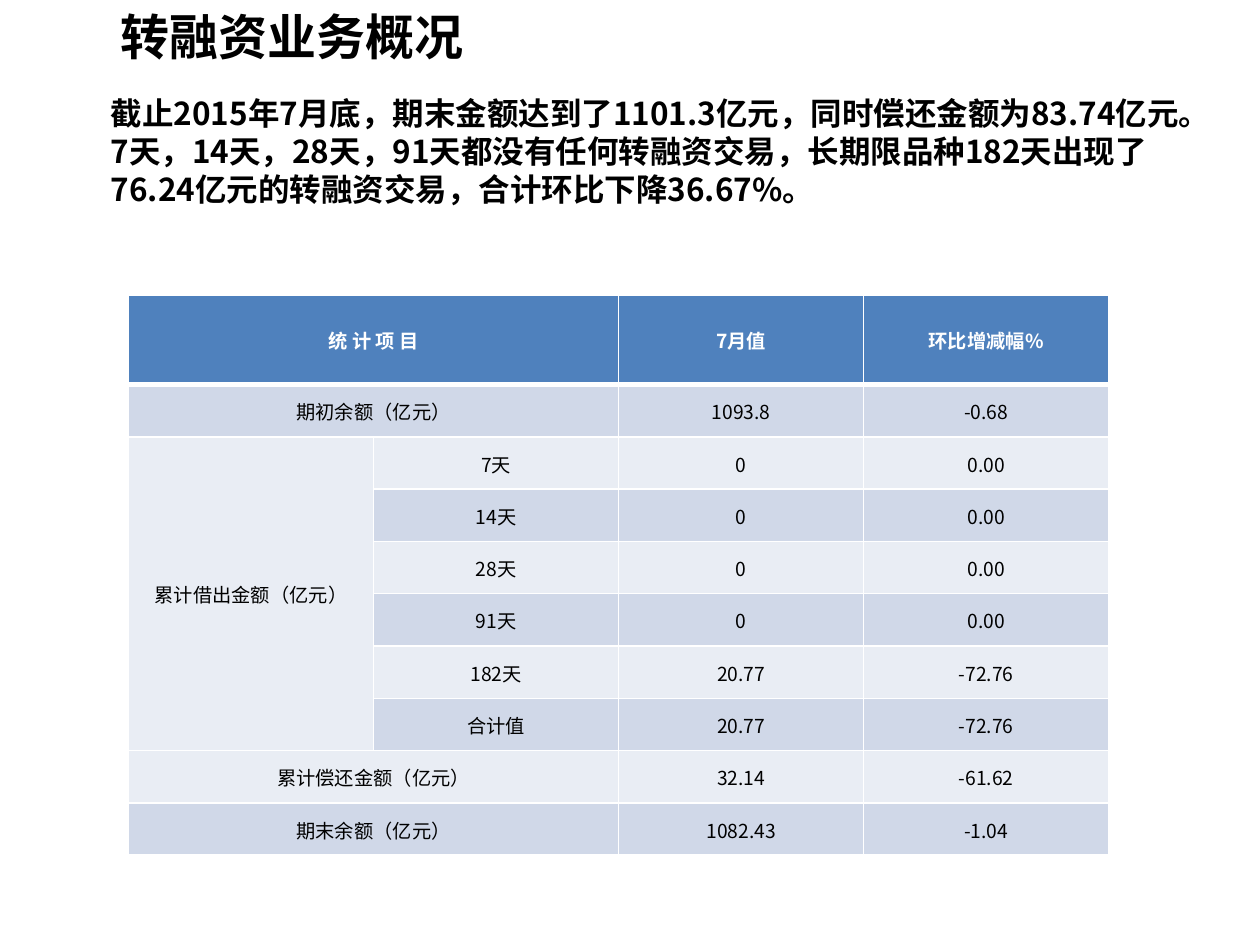
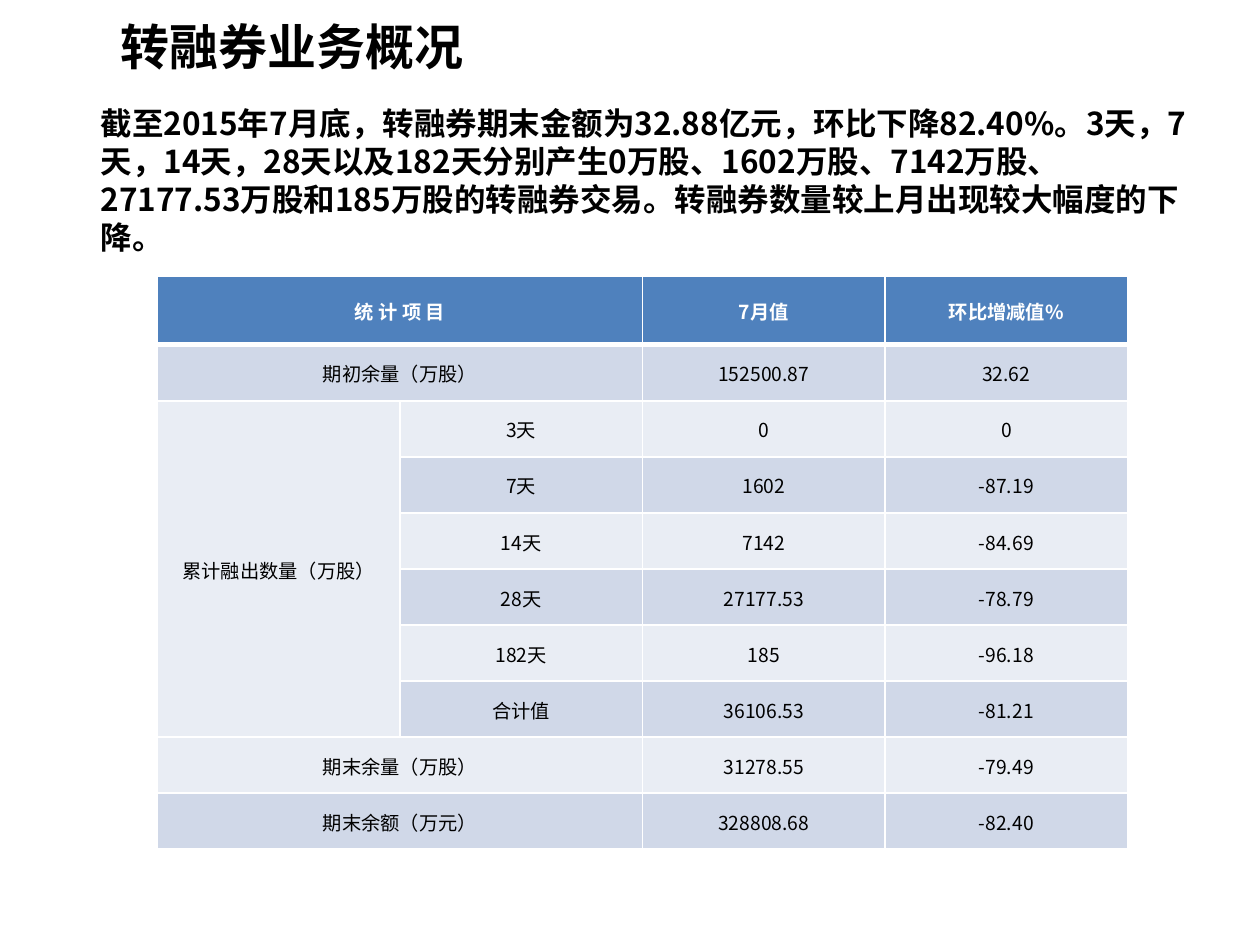
from collections import namedtuple

from lxml import etree
from pptx import Presentation
from pptx import util as u
from pptx.dml import color
from pptx.enum import text
from pptx.oxml import ns

COLOURS = {
    "ink": "000000",
    "paper": "FFFFFF",
    "header": "4F81BD",
    "dark_band": "D0D8E8",
    "light_band": "E9EDF4",
}
FONT = "Noto Sans CJK SC"
GRID_COLUMNS, GRID_ROWS = 100, 75
SLIDE_WIDTH, SLIDE_HEIGHT = u.Inches(10), u.Inches(7.5)

Box = namedtuple("Box", "left top width height")


def place(box):
    column, row = SLIDE_WIDTH / GRID_COLUMNS, SLIDE_HEIGHT / GRID_ROWS
    return [round(length) for length in
            (box.left * column, box.top * row, box.width * column, box.height * row)]


def write(frame, words, size=11, colour="ink", bold=False, align=text.PP_ALIGN.LEFT):
    para = frame.paragraphs[0]
    para.alignment = align
    span = para.add_run()
    span.text = words
    span.font.size = u.Pt(size)
    span.font.bold = bold
    span.font.name = FONT
    span.font.color.rgb = color.RGBColor.from_string(COLOURS[colour])
    etree.SubElement(span.font._element, ns.qn("a:ea"), typeface=FONT)


def add_words(page, box, words, size, wrap=True):
    frame = page.shapes.add_textbox(*place(box)).text_frame
    frame.word_wrap = wrap
    frame.vertical_anchor = text.MSO_ANCHOR.TOP
    write(frame, words, size=size, bold=True)


def add_borders(cell, bottom):
    properties = cell._tc.get_or_add_tcPr()
    widths = {"lnL": 1, "lnR": 1, "lnT": 1, "lnB": bottom}
    for position, (side, width) in enumerate(widths.items()):
        line = etree.Element(ns.qn(f"a:{side}"), w=str(u.Pt(width)))
        fill = etree.SubElement(line, ns.qn("a:solidFill"))
        etree.SubElement(fill, ns.qn("a:srgbClr"), val=COLOURS["paper"])
        properties.insert(position, line)


def format_cell(cell, words, band):
    is_header = band == "header"
    cell.fill.solid()
    cell.fill.fore_color.rgb = color.RGBColor.from_string(COLOURS[band])
    cell.margin_left = cell.margin_right = cell.margin_top = u.Inches(0.01)
    cell.margin_bottom = 0
    cell.vertical_anchor = text.MSO_ANCHOR.MIDDLE
    add_borders(cell, bottom=3 if is_header else 1)
    if words:
        write(cell.text_frame, words, colour="paper" if is_header else "ink",
              bold=is_header, align=text.PP_ALIGN.CENTER)


def add_statistics(page, box, header_share, rows):
    left, top, width, height = place(box)
    table = page.shapes.add_table(len(rows), len(rows[0]), left, top, width, height).table
    table.first_row = table.horz_banding = False
    for column in table.columns:
        column.width = round(width / len(rows[0]))
    header_height = height * header_share
    row_height = (height - header_height) / (len(rows) - 1)
    for index, row in enumerate(rows):
        table.rows[index].height = round(row_height if index else header_height)
        band = ("dark_band" if index % 2 else "light_band") if index else "header"
        for position, words in enumerate(row):
            in_group = position == 0 and not words
            format_cell(table.cell(index, position), words,
                        "light_band" if in_group else band)
        if row[0] and not row[1]:
            table.cell(index, 0).merge(table.cell(index, 1))
    group = [index for index, row in enumerate(rows) if row[1]]
    table.cell(group[0], 0).merge(table.cell(group[-1], 0))


def statistics_rows(header, opening, group, terms, closing):
    first, *others = terms
    wide = [(label, "", *values) for label, *values in (header, opening, *closing)]
    return [*wide[:2], (group, *first), *(("", *term) for term in others), *wide[2:]]


def add_overview(deck, title, title_box, summary, summary_box,
                 table_box, header_share, rows, title_wrap=True):
    page = deck.slides.add_slide(deck.slide_layouts[6])
    add_words(page, summary_box, summary, size=18)
    add_words(page, title_box, title, size=28, wrap=title_wrap)
    add_statistics(page, table_box, header_share, rows)


def main():
    deck = Presentation()
    deck.slide_width, deck.slide_height = SLIDE_WIDTH, SLIDE_HEIGHT
    add_overview(
        deck,
        title="转融资业务概况",
        title_box=Box(8.6, 0, 29.6, 10.4),
        title_wrap=False,
        summary="截止2015年7月底，期末金额达到了1101.3亿元，同时偿还金额为83.74亿元。"
                "7天，14天，28天，91天都没有任何转融资交易，长期限品种182天出现了"
                "76.24亿元的转融资交易，合计环比下降36.67%。",
        summary_box=Box(7.8, 7, 87.5, 12.5),
        table_box=Box(10.2, 23.4, 77.8, 44.5),
        header_share=0.16,
        rows=statistics_rows(
            header=("统 计 项 目", "7月值", "环比增减幅%"),
            opening=("期初余额（亿元）", "1093.8", "-0.68"),
            group="累计借出金额（亿元）",
            terms=[
                ("7天", "0", "0.00"),
                ("14天", "0", "0.00"),
                ("28天", "0", "0.00"),
                ("91天", "0", "0.00"),
                ("182天", "20.77", "-72.76"),
                ("合计值", "20.77", "-72.76"),
            ],
            closing=[
                ("累计偿还金额（亿元）", "32.14", "-61.62"),
                ("期末余额（亿元）", "1082.43", "-1.04"),
            ],
        ),
    )
    add_overview(
        deck,
        title="转融券业务概况",
        title_box=Box(8.6, 0.8, 39.1, 5.7),
        summary="截至2015年7月底，转融券期末金额为32.88亿元，环比下降82.40%。"
                "3天，7天，14天，28天以及182天分别产生0万股、1602万股、7142万股、"
                "27177.53万股和185万股的转融券交易。转融券数量较上月出现较大幅度的下降。",
        summary_box=Box(7, 7.8, 89.1, 12.5),
        table_box=Box(12.5, 21.9, 77, 45.5),
        header_share=0.12,
        rows=statistics_rows(
            header=("统 计 项 目", "7月值", "环比增减值%"),
            opening=("期初余量（万股）", "152500.87", "32.62"),
            group="累计融出数量（万股）",
            terms=[
                ("3天", "0", "0"),
                ("7天", "1602", "-87.19"),
                ("14天", "7142", "-84.69"),
                ("28天", "27177.53", "-78.79"),
                ("182天", "185", "-96.18"),
                ("合计值", "36106.53", "-81.21"),
            ],
            closing=[
                ("期末余量（万股）", "31278.55", "-79.49"),
                ("期末余额（万元）", "328808.68", "-82.40"),
            ],
        ),
    )
    deck.save("out.pptx")


if __name__ == "__main__":
    main()
